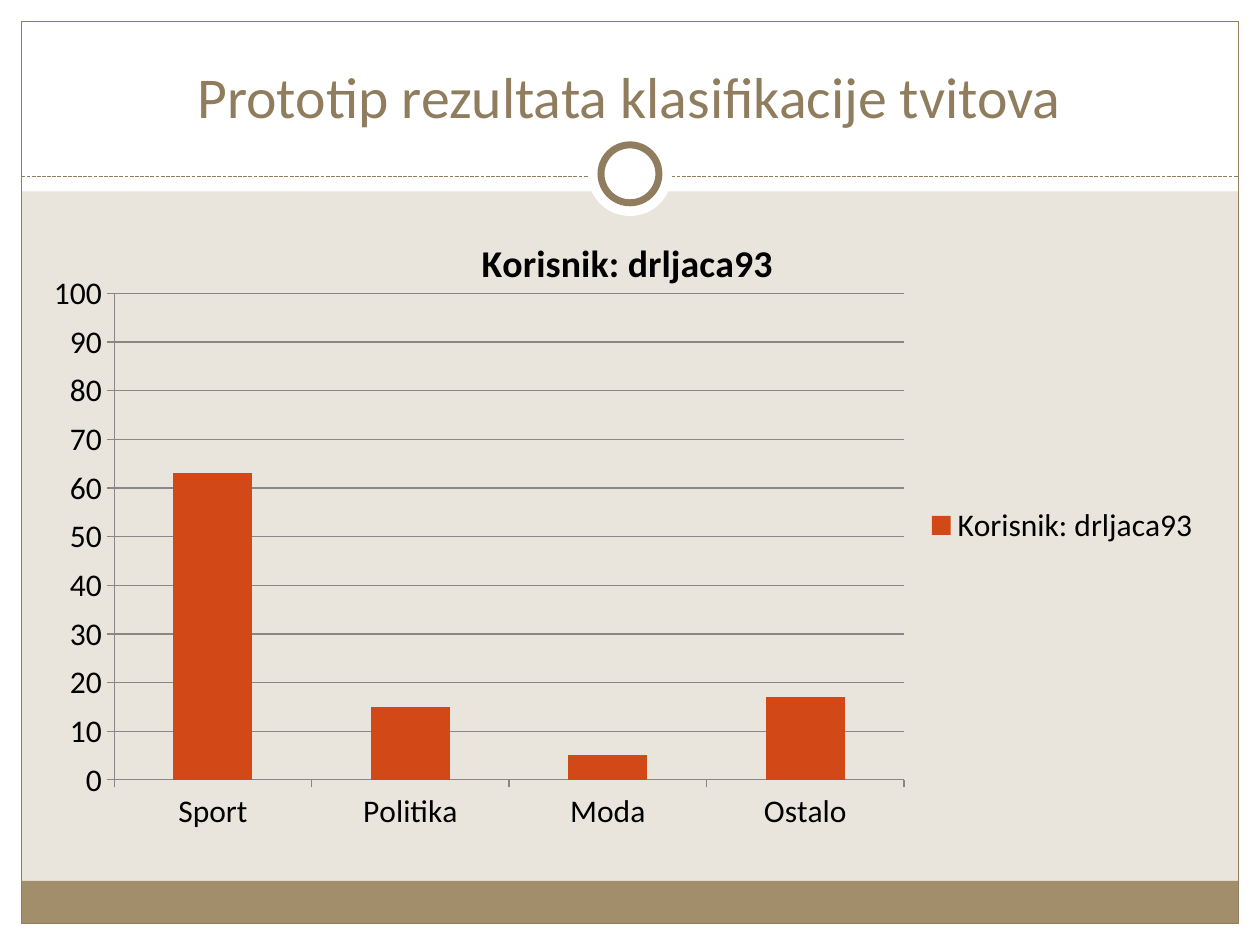
"""Build a slide with a column chart of tweet classification results."""
from dataclasses import dataclass

import lxml.etree
import pptx
import pptx.chart.data
import pptx.dml.color
import pptx.enum.chart
import pptx.enum.dml
import pptx.enum.shapes
import pptx.enum.text
import pptx.oxml
import pptx.oxml.ns
import pptx.util

WIDTH = pptx.util.Inches(10)
HEIGHT = pptx.util.Inches(7.5)
SHAPE = pptx.enum.shapes.MSO_SHAPE


@dataclass(frozen=True)
class Theme:
    font: str = "Calibri"
    back: str = "E9E5DC"
    paper: str = "FFFFFF"
    band: str = "A28E6A"
    accent: str = "8F7D5E"
    column: str = "D34817"
    text: str = "000000"
    grid: str = "878787"
    title: float = 33
    chart_title: float = 21.6
    chart_text: float = 18
    hairline: float = 0.75
    ring: float = 4


T = Theme()


def rgb(color):
    return pptx.dml.color.RGBColor.from_string(color)


def box(x, y, w, h):
    return [int(v * full / 100) for v, full in
            ((x, WIDTH), (y, HEIGHT), (w, WIDTH), (h, HEIGHT))]


def set_font(font, size, color, bold=False):
    font.name, font.size, font.bold = T.font, pptx.util.Pt(size), bold
    font.color.rgb = rgb(color)


def set_line(line, color, width):
    line.color.rgb = rgb(color)
    line.width = pptx.util.Pt(width)


def add_block(s, kind, area, fill=None, line_width=None):
    sp = s.shapes.add_shape(kind, *area)
    sp.shadow.inherit = False
    if fill:
        sp.fill.solid()
        sp.fill.fore_color.rgb = rgb(fill)
    else:
        sp.fill.background()
    if line_width:
        set_line(sp.line, T.accent, line_width)
    else:
        sp.line.fill.background()


def add_disc(s, x, y, diameter, line_width=None):
    height = diameter * WIDTH / HEIGHT
    area = box(x - diameter / 2, y - height / 2, diameter, height)
    add_block(s, SHAPE.OVAL, area, T.paper, line_width)


def add_divider(s, x, y, w):
    left, top, width, _ = box(x, y, w, 0)
    sp = s.shapes.add_connector(pptx.enum.shapes.MSO_CONNECTOR.STRAIGHT,
                                left, top, left + width, top)
    set_line(sp.line, T.accent, T.hairline)
    sp.line.dash_style = pptx.enum.dml.MSO_LINE.SQUARE_DOT
    lxml.etree.SubElement(sp._element.spPr, pptx.oxml.ns.qn("a:effectLst"))


def add_title(s, text, area):
    tf = s.shapes.add_textbox(*area).text_frame
    tf.word_wrap = True
    tf.vertical_anchor = pptx.enum.text.MSO_ANCHOR.BOTTOM
    p = tf.paragraphs[0]
    p.text = text
    p.alignment = pptx.enum.text.PP_ALIGN.CENTER
    set_font(p.font, T.title, T.accent)


def place_plot(chart, **shares):
    qn = pptx.oxml.ns.qn
    plot_area = chart._chartSpace.chart.plotArea
    for old in plot_area.findall(qn("c:layout")):
        plot_area.remove(old)
    values = {"layoutTarget": "inner", "xMode": "edge", "yMode": "edge", **shares}
    items = "".join(f'<c:{k} val="{v}"/>' for k, v in values.items())
    plot_area.insert(0, pptx.oxml.parse_xml(
        f'<c:layout {pptx.oxml.ns.nsdecls("c")}>'
        f'<c:manualLayout>{items}</c:manualLayout></c:layout>'))


def add_columns(s, name, values, area):
    data = pptx.chart.data.CategoryChartData()
    data.categories = list(values)
    data.add_series(name, list(values.values()))
    chart = s.shapes.add_chart(pptx.enum.chart.XL_CHART_TYPE.COLUMN_CLUSTERED,
                               *area, data).chart
    set_font(chart.font, T.chart_text, T.text)
    chart.has_title = True
    p = chart.chart_title.text_frame.paragraphs[0]
    p.text = name
    set_font(p.font, T.chart_title, T.text, bold=True)
    chart.has_legend = True
    chart.legend.position = pptx.enum.chart.XL_LEGEND_POSITION.RIGHT
    chart.legend.include_in_layout = False
    plot = chart.plots[0]
    plot.vary_by_categories = False
    plot.gap_width = 150
    fill = plot.series[0].format.fill
    fill.solid()
    fill.fore_color.rgb = rgb(T.column)
    axis = chart.value_axis
    axis.minimum_scale, axis.maximum_scale, axis.major_unit = 0, 100, 10
    axis.has_major_gridlines = True
    for part in (axis, chart.category_axis, axis.major_gridlines):
        set_line(part.format.line, T.grid, T.hairline)
    for part in (axis, chart.category_axis):
        part.major_tick_mark = pptx.enum.chart.XL_TICK_MARK.OUTSIDE
    place_plot(chart, x=0.062, y=0.132, w=0.674, h=0.772)


def add_frame(s):
    edge_x, edge_y = 1.7, 2.27
    inner_x, inner_y = 100 - 2 * edge_x, 100 - 2 * edge_y
    for area in ((0, 100 - edge_y, 100, edge_y), (0, 0, 100, 20.27),
                 (0, 0, edge_x, 100), (100 - edge_x, 0, edge_x, 100)):
        add_block(s, SHAPE.RECTANGLE, box(*area), T.paper)
    add_block(s, SHAPE.RECTANGLE, box(edge_x, 93.2, inner_x, 4.53), T.band)
    add_block(s, SHAPE.RECTANGLE, box(edge_x, edge_y, inner_x, inner_y),
              line_width=T.hairline)
    add_divider(s, edge_x, 18.67, inner_x)
    add_disc(s, 50, 18.4, 6.7)
    add_disc(s, 50, 18.4, 4.6, T.ring)


def main():
    prs = pptx.Presentation()
    prs.slide_width, prs.slide_height = WIDTH, HEIGHT
    s = prs.slides.add_slide(prs.slide_layouts[6])
    s.background.fill.solid()
    s.background.fill.fore_color.rgb = rgb(T.back)
    add_frame(s)
    add_title(s, "Prototip rezultata klasifikacije tvitova",
              box(3.3, 3.33, 93.3, 11.07))
    add_columns(s, "Korisnik: drljaca93",
                {"Sport": 63, "Politika": 15, "Moda": 5, "Ostalo": 17},
                box(3.3, 22.27, 93, 66.67))
    prs.save("out.pptx")


main()
